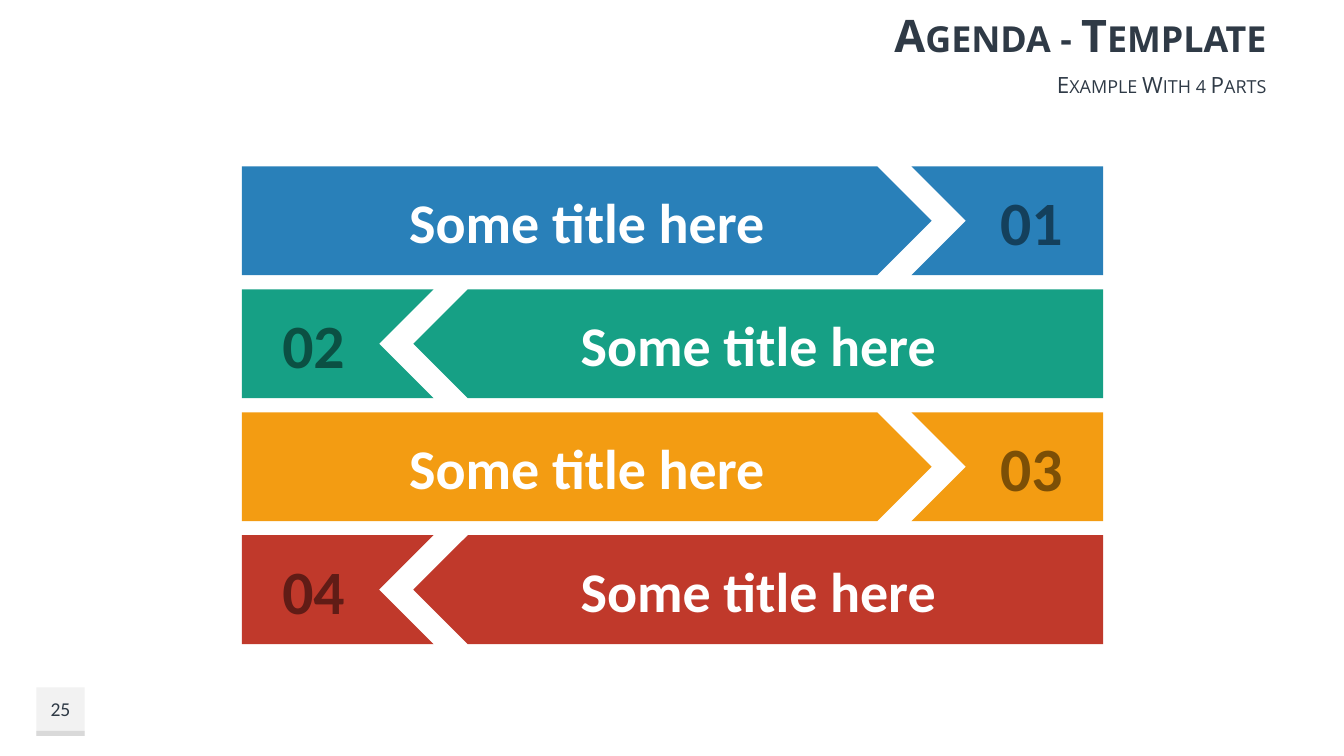
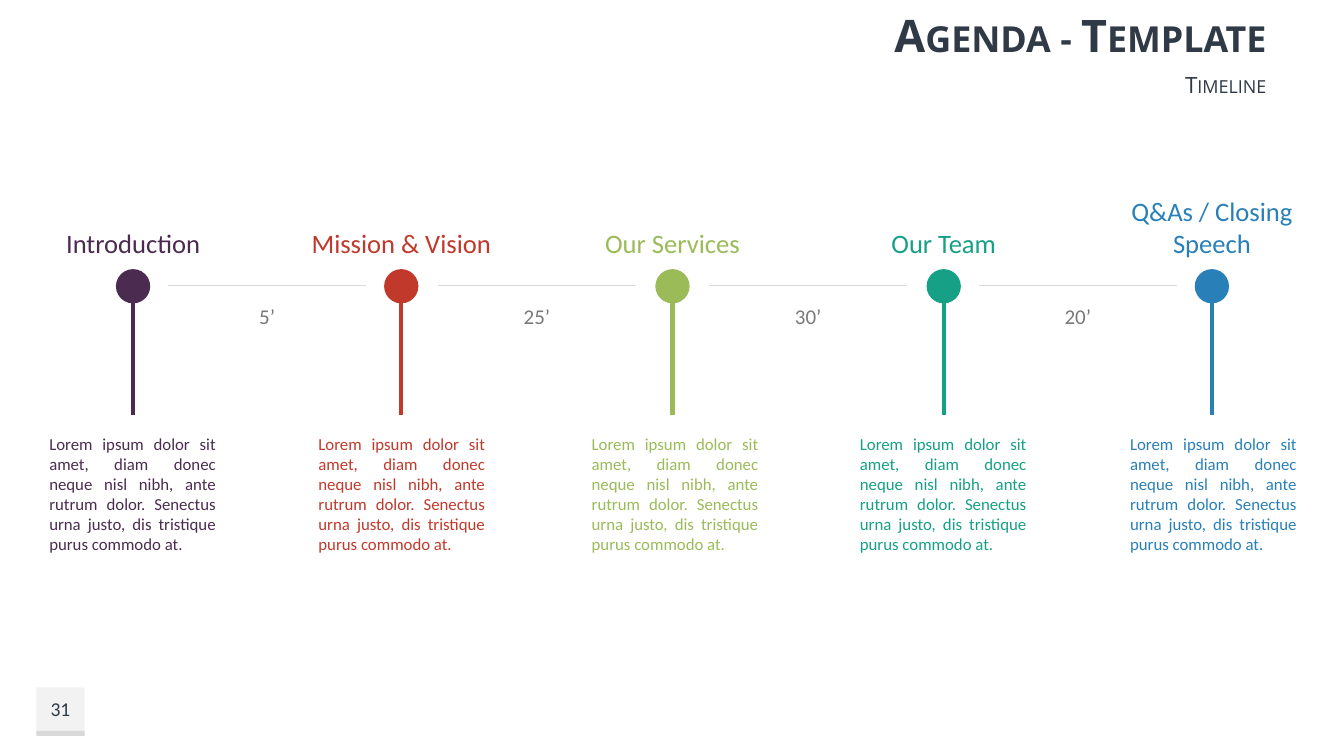
"""Builds two agenda slides: a four-part chevron list and a timeline."""
from lxml.etree import SubElement
from pptx import Presentation
from pptx.dml.color import RGBColor
from pptx.enum.shapes import MSO_CONNECTOR as Connector, MSO_SHAPE as Shape
from pptx.enum.text import MSO_ANCHOR as Anchor, PP_ALIGN as Align
from pptx.oxml.ns import qn
from pptx.util import Inches, Pt

INK, WHITE, RULE, GRAY = "2F3A46", "FFFFFF", "DBDBDB", "797979"
BADGE, BADGE_EDGE = "F2F2F2", "D9D9D9"
PURPLE, RED, LIME = "4B2C50", "C0392B", "9BBB59"
GREEN, BLUE, ORANGE = "16A085", "2980B9", "F39C12"


def paint(shape, color, width=None):
    """Fill a shape, or stroke a connector when a width is given."""
    rgb = RGBColor.from_string(color)
    if width:
        shape.line.color.rgb = rgb
        shape.line.width = Pt(width)
        SubElement(shape._element.spPr, qn("a:effectLst"))
    else:
        shape.shadow.inherit = False
        shape.fill.solid()
        shape.fill.fore_color.rgb = rgb
        shape.line.fill.background()


def write(shape, text, size, color, align=Align.CENTER, anchor=Anchor.MIDDLE,
          font="Calibri", bold=False, small_caps=False, sides=(0.1, 0.1), edge=0.05):
    """Set and format the single paragraph of a shape."""
    frame = shape.text_frame
    frame.text = text
    frame.word_wrap = True
    frame.vertical_anchor = anchor
    frame.margin_left, frame.margin_right = [Inches(side) for side in sides]
    frame.margin_top = frame.margin_bottom = Inches(edge)
    paragraph = frame.paragraphs[0]
    paragraph.alignment = align
    run = paragraph.runs[0]
    run.font.name = font
    run.font.size = Pt(size)
    run.font.bold = bold
    run.font.color.rgb = RGBColor.from_string(color)
    if small_caps:
        run.font._element.set("cap", "small")


prs = Presentation()
prs.slide_width, prs.slide_height = Inches(13.33), Inches(7.5)
blank = prs.slide_layouts[6]
agenda = prs.slides.add_slide(blank)
timeline = prs.slides.add_slide(blank)

for slide, subtitle, number in [(agenda, "Example With 4 Parts", "25"),
                                (timeline, "Timeline", "31")]:
    for top, height, color in [(6.82, 0.48, BADGE), (7.25, 0.05, BADGE_EDGE)]:
        band = slide.shapes.add_shape(Shape.RECTANGLE, Inches(0.36), Inches(top),
                                      Inches(0.48), Inches(height))
        paint(band, color)
    page = slide.shapes.add_textbox(Inches(0.36), Inches(6.82), Inches(0.48), Inches(0.43))
    write(page, number, 14, INK, sides=(0, 0))
    for text, top, height, size, bold in [("Agenda - Template", 0, 0.68, 32, True),
                                          (subtitle, 0.68, 0.31, 16, False)]:
        heading = slide.shapes.add_textbox(Inches(4.25), Inches(top),
                                           Inches(8.41), Inches(height))
        write(heading, text, size, INK, Align.RIGHT, font="Open Sans",
              bold=bold, small_caps=True, edge=0)

LEFT, RIGHT, HEIGHT, GAP = 2.4, 10.94, 1.08, 0.14
POINT = HEIGHT / 2
parts = [("01", BLUE, "14405C"), ("02", GREEN, "0B5043"),
         ("03", ORANGE, "7C4F06"), ("04", RED, "601C16")]
for row, (number, color, dark) in enumerate(parts):
    top = 1.65 + row * (HEIGHT + GAP)
    middle, bottom = top + POINT, top + HEIGHT
    mirrored = row % 2 == 1
    title_outline = [(LEFT, top), (8.7, top), (8.7 + POINT, middle),
                     (8.7, bottom), (LEFT, bottom)]
    number_outline = [(9.04, top), (RIGHT, top), (RIGHT, bottom),
                      (9.04, bottom), (9.04 + POINT, middle)]
    pieces = []
    for outline in (title_outline, number_outline):
        points = [(Inches(LEFT + RIGHT - x if mirrored else x), Inches(y))
                  for x, y in outline]
        builder = agenda.shapes.build_freeform(*points[0])
        builder.add_line_segments(points[1:], close=True)
        piece = builder.convert_to_shape()
        paint(piece, color)
        pieces.append(piece)
    title_arrow, number_tail = pieces
    write(title_arrow, "Some title here", 40, WHITE, bold=True)
    write(number_tail, number, 44, dark, Align.LEFT if mirrored else Align.RIGHT,
          bold=True, sides=(0.4, 0.1) if mirrored else (0.1, 0.4), edge=0)

LOREM = ("Lorem ipsum dolor sit amet, diam donec neque nisl nibh, ante rutrum dolor. "
         "Senectus urna justo, dis tristique purus commodo at.")
DOT = 0.34
steps = [("Introduction", PURPLE, 1.32, 0.39), ("Mission & Vision", RED, 3.98, 3.06),
         ("Our Services", LIME, 6.67, 5.77), ("Our Team", GREEN, 9.36, 8.43),
         ("Q&As / Closing Speech", BLUE, 12.02, 11.11)]
for name, color, center, body_left in steps:
    dot = timeline.shapes.add_shape(Shape.OVAL, Inches(center - DOT / 2), Inches(2.67),
                                    Inches(DOT), Inches(DOT))
    paint(dot, color)
    stem = timeline.shapes.add_connector(Connector.STRAIGHT, Inches(center),
                                         Inches(2.67 + DOT), Inches(center), Inches(4.12))
    paint(stem, color, 3)
    label = timeline.shapes.add_textbox(Inches(center - 1.06), Inches(1.88),
                                        Inches(2.12), Inches(0.74))
    write(label, name, 19, color, anchor=Anchor.BOTTOM)
    body = timeline.shapes.add_textbox(Inches(body_left), Inches(4.25),
                                       Inches(1.85), Inches(1.31))
    write(body, LOREM, 12, color, Align.JUSTIFY, Anchor.TOP)

durations = ["5’", "25’", "30’", "20’"]
for duration, step, following in zip(durations, steps, steps[1:]):
    middle = (step[2] + following[2]) / 2
    rule = timeline.shapes.add_connector(Connector.STRAIGHT, Inches(middle - 0.98),
                                         Inches(2.83), Inches(middle + 0.98), Inches(2.83))
    paint(rule, RULE, 0.75)
    minutes = timeline.shapes.add_textbox(Inches(middle - 1.04), Inches(2.96),
                                          Inches(2.08), Inches(0.35))
    write(minutes, duration, 15, GRAY, anchor=Anchor.TOP)

prs.save("out.pptx")
